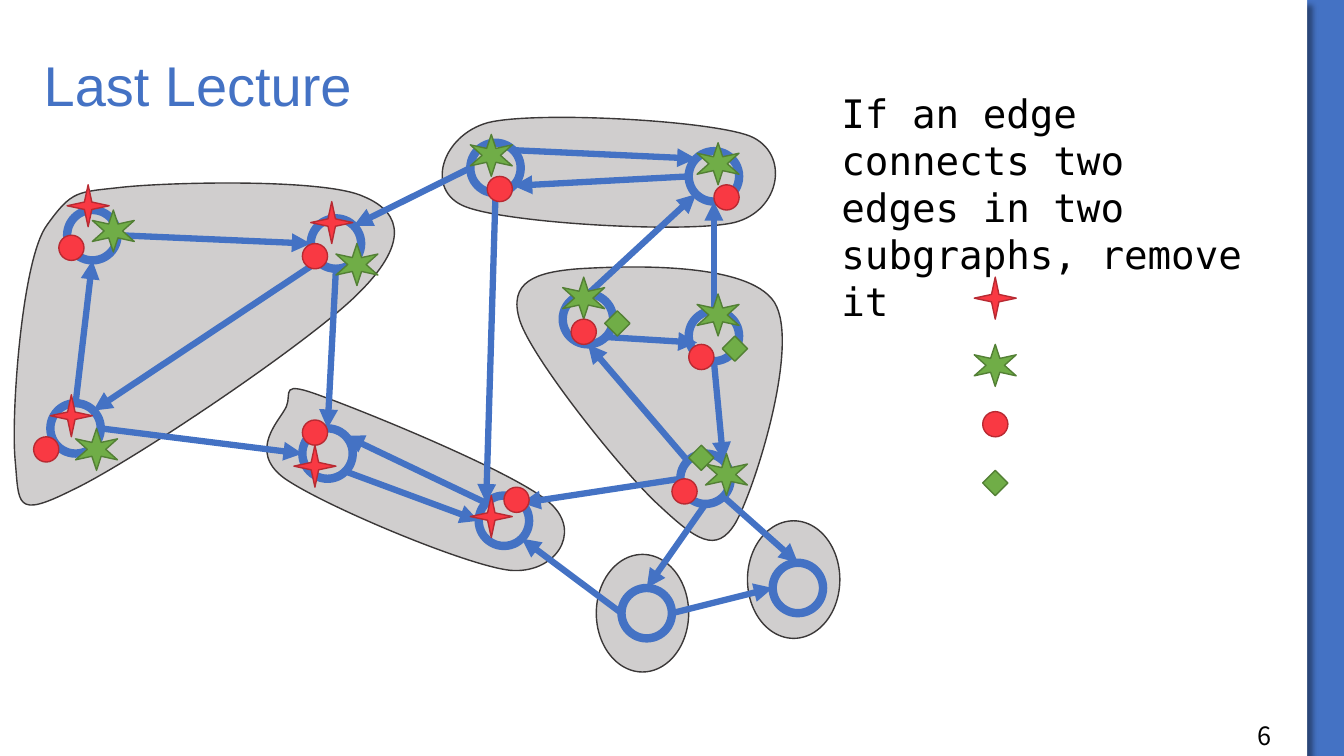
from dataclasses import dataclass
from typing import Optional

from lxml.etree import SubElement
from pptx import Presentation
from pptx.dml.color import RGBColor
from pptx.enum.shapes import MSO_CONNECTOR, MSO_SHAPE
from pptx.enum.text import MSO_ANCHOR, PP_ALIGN
from pptx.oxml.ns import qn
from pptx.util import Cm, Pt

BLUE, WHITE, BLACK = "4472C4", "FFFFFF", "000000"
GRAY, DARK_GRAY = "D0CECE", "3B3838"
RED, DARK_RED = "F93943", "B82A32"
GREEN, DARK_GREEN = "70AD47", "538035"

NODE_RADIUS = 3
DIAGONAL = 2.12
CURVE_STEPS = 50

Point = tuple[float, float]


@dataclass(frozen=True)
class Edge:
    source: str
    source_side: str
    target: str
    target_side: str


@dataclass(frozen=True)
class Mark:
    preset: MSO_SHAPE
    size: float
    fill: str
    line: str
    corners: list[Point]
    adjustment: Optional[float] = None


SIDES = {
    "N": (0, -NODE_RADIUS), "S": (0, NODE_RADIUS),
    "W": (-NODE_RADIUS, 0), "E": (NODE_RADIUS, 0),
    "NW": (-DIAGONAL, -DIAGONAL), "NE": (DIAGONAL, -DIAGONAL),
    "SW": (-DIAGONAL, DIAGONAL), "SE": (DIAGONAL, DIAGONAL),
    "inner": (-2, 0.8),
}

NODES = {
    "A": (11, 28), "B": (9, 51), "C": (40, 29), "D": (77, 73),
    "E": (59, 20), "F": (85, 40), "G": (60, 62), "H": (85, 21),
    "I": (84, 57), "J": (39, 54), "K": (70, 38), "L": (95, 70),
}

EDGES = [
    Edge("A", "E", "C", "W"), Edge("B", "N", "A", "S"), Edge("C", "SW", "B", "NE"),
    Edge("B", "E", "J", "W"), Edge("C", "S", "J", "N"), Edge("E", "W", "C", "NE"),
    Edge("E", "NE", "H", "NW"), Edge("H", "W", "E", "SE"), Edge("F", "N", "H", "S"),
    Edge("E", "S", "G", "NW"), Edge("I", "W", "G", "NE"), Edge("J", "SE", "G", "W"),
    Edge("G", "NW", "J", "NE"), Edge("F", "S", "I", "NE"), Edge("D", "W", "G", "SE"),
    Edge("I", "S", "D", "N"), Edge("K", "N", "H", "SW"), Edge("K", "SE", "F", "inner"),
    Edge("I", "NW", "K", "S"), Edge("I", "SE", "L", "N"), Edge("D", "E", "L", "W"),
]

MARKS = [
    Mark(MSO_SHAPE.STAR_4_POINT, 5, RED, DARK_RED,
         [(8, 22), (6, 47), (35, 53), (56, 59), (37, 24), (116, 33)]),
    Mark(MSO_SHAPE.STAR_6_POINT, 5, GREEN, DARK_GREEN,
         [(40, 29), (11, 25), (9, 51), (56, 16), (83, 17), (67, 33), (83, 35),
          (84, 54), (116, 41)], 0.19),
    Mark(MSO_SHAPE.OVAL, 3, RED, DARK_RED,
         [(82, 41), (68, 38), (80, 57), (85, 22), (58, 21), (36, 29), (7, 28),
          (4, 52), (36, 50), (60, 58), (117, 49)]),
    Mark(MSO_SHAPE.DIAMOND, 3, GREEN, DARK_GREEN,
         [(86, 40), (82, 53), (72, 37), (117, 56)]),
]

ROUND_SUBGRAPHS = [(89, 62), (71, 66)]

CURVED_SUBGRAPHS = [
    [(58.1, 14.6), (63.7, 13.2), (84.4, 14.3), (89.3, 16.2), (94.1, 18.2), (93, 25.1),
     (87.4, 26.5), (81.7, 27.8), (60.5, 26.6), (55.4, 24.6), (50.5, 22.7), (52.6, 16.1)],
    [(68.9, 32), (73.9, 31.7), (89, 31), (92.2, 36), (95.3, 41), (89.9, 58.1),
     (87.6, 62.2), (85.3, 66.1), (82.8, 64.2), (78.5, 60.2), (74.2, 56.3), (63.4, 42.8),
     (61.9, 38.2), (60.4, 33.5), (63.8, 32.4)],
    [(38.4, 47.2), (43.7, 49.1), (61.9, 56.5), (65.6, 60), (69.4, 63.5), (66, 68.4),
     (60.7, 67.9), (55.4, 67.3), (38.3, 60.1), (33.8, 56.9), (29.4, 53.6), (33.4, 50),
     (34.1, 48.4), (34.8, 46.8), (33.1, 45.2)],
    [(5.6, 26.8), (2.6, 30.8), (1.3, 49.4), (1.8, 54.7), (2.3, 60), (1.7, 61.8),
     (8.5, 58.4), (15.4, 55.2), (36.8, 40.8), (42.6, 35), (48.5, 29.2), (48.1, 25.4),
     (43.3, 23.4), (38.6, 21.2), (19.8, 21.7), (14.5, 22.3), (9.2, 22.9), (8.6, 22.6)],
]


def grid(units: float) -> Cm:
    return Cm(units * 2.54 / 12)


def color(hex_code: str) -> RGBColor:
    return RGBColor.from_string(hex_code)


def paint(shape, fill: Optional[str] = None, line: Optional[str] = None, width: float = 1) -> None:
    shape.shadow.inherit = False
    if fill:
        shape.fill.solid()
        shape.fill.fore_color.rgb = color(fill)
    else:
        shape.fill.background()
    if line:
        shape.line.color.rgb = color(line)
        shape.line.width = Pt(width)
    else:
        shape.line.fill.background()


def write(frame, text: str, *, font: str, size: float, ink: str,
          anchor: MSO_ANCHOR = MSO_ANCHOR.TOP, spacing: float = 1) -> None:
    frame.text = text
    frame.word_wrap = True
    frame.vertical_anchor = anchor
    paragraph = frame.paragraphs[0]
    paragraph.alignment = PP_ALIGN.LEFT
    paragraph.line_spacing = spacing
    paragraph.font.name = font
    paragraph.font.size = Pt(size)
    paragraph.font.color.rgb = color(ink)


def add_panel(shapes) -> None:
    panel = shapes.add_shape(MSO_SHAPE.RECTANGLE, 0, 0, Cm(32.94), Cm(19.05))
    paint(panel, WHITE)
    effects = panel._element.spPr.find(qn("a:effectLst"))
    shadow = SubElement(effects, qn("a:outerShdw"), blurRad=str(Pt(4)), dist=str(Pt(6)),
                        dir="2700000", algn="tl", rotWithShape="0")
    tint = SubElement(shadow, qn("a:srgbClr"), val=BLACK)
    SubElement(tint, qn("a:alpha"), val="40000")
    shapes._spTree.insert(2, panel._element)


def curve_range(values: list[float]) -> tuple[Cm, Cm]:
    reached = []
    for first in range(0, len(values) - 1, 3):
        a, b, c, d = values[first:first + 4]
        for step in range(CURVE_STEPS + 1):
            t = step / CURVE_STEPS
            u = 1 - t
            reached.append(u**3 * a + 3 * u * u * t * b + 3 * u * t * t * c + t**3 * d)
    return grid(min(reached)), grid(max(reached))


def add_curved_subgraph(shapes, controls: list[Point]) -> None:
    closed = controls + controls[:1]
    (left, right), (top, bottom) = [curve_range(list(axis)) for axis in zip(*closed)]
    builder = shapes.build_freeform(left, top)
    builder.add_line_segments([(right, bottom)], close=True)
    subgraph = builder.convert_to_shape()
    outline = next(subgraph._element.iter(qn("a:path")))
    for segment in list(outline):
        outline.remove(segment)
    pieces = [("a:moveTo", closed[:1])]
    pieces += [("a:cubicBezTo", closed[i:i + 3]) for i in range(1, len(closed), 3)]
    for tag, points in pieces:
        piece = SubElement(outline, qn(tag))
        for x, y in points:
            SubElement(piece, qn("a:pt"), x=str(grid(x) - left), y=str(grid(y) - top))
    SubElement(outline, qn("a:close"))
    paint(subgraph, GRAY, DARK_GRAY)


def add_edge(shapes, edge: Edge) -> None:
    ends = [grid(center + offset)
            for node, side in ((edge.source, edge.source_side), (edge.target, edge.target_side))
            for center, offset in zip(NODES[node], SIDES[side])]
    arrow = shapes.add_connector(MSO_CONNECTOR.STRAIGHT, *ends)
    arrow.line.color.rgb = color(BLUE)
    arrow.line.width = Pt(4.5)
    SubElement(arrow.line._get_or_add_ln(), qn("a:tailEnd"), type="triangle")
    SubElement(arrow._element.spPr, qn("a:effectLst"))


def add_mark(shapes, mark: Mark) -> None:
    for x, y in mark.corners:
        symbol = shapes.add_shape(mark.preset, grid(x), grid(y), grid(mark.size), grid(mark.size))
        paint(symbol, mark.fill, mark.line)
        if mark.adjustment is not None:
            symbol.adjustments[0] = mark.adjustment


def main() -> None:
    deck = Presentation()
    deck.slide_width, deck.slide_height = Cm(33.87), Cm(19.05)
    slide = deck.slides.add_slide(deck.slide_layouts[5])
    slide.background.fill.solid()
    slide.background.fill.fore_color.rgb = color(BLUE)
    shapes = slide.shapes
    add_panel(shapes)
    heading = shapes.title
    heading.left, heading.top, heading.width, heading.height = grid(4), grid(6), grid(148), grid(9)
    write(heading.text_frame, "Last Lecture", font="Arial", size=40, ink=BLUE,
          anchor=MSO_ANCHOR.MIDDLE, spacing=0.9)
    for x, y in ROUND_SUBGRAPHS:
        paint(shapes.add_shape(MSO_SHAPE.OVAL, grid(x), grid(y), grid(11), grid(14)), GRAY, DARK_GRAY)
    for controls in CURVED_SUBGRAPHS:
        add_curved_subgraph(shapes, controls)
    for x, y in NODES.values():
        node = shapes.add_shape(MSO_SHAPE.OVAL, grid(x - NODE_RADIUS), grid(y - NODE_RADIUS),
                                grid(2 * NODE_RADIUS), grid(2 * NODE_RADIUS))
        paint(node, line=BLUE, width=6)
    for edge in EDGES:
        add_edge(shapes, edge)
    rule = shapes.add_textbox(grid(99), grid(10), grid(51), Cm(3.84))
    write(rule.text_frame, "If an edge connects two edges in two subgraphs, remove it",
          font="DejaVu Sans Mono", size=28, ink=BLACK)
    for mark in MARKS:
        add_mark(shapes, mark)
    page_number = shapes.add_textbox(Cm(31.43), Cm(18.03), Cm(2.18), Cm(1.02))
    write(page_number.text_frame, "6", font="Noto Sans CJK SC", size=18, ink=BLACK)
    deck.save("out.pptx")


if __name__ == "__main__":
    main()
